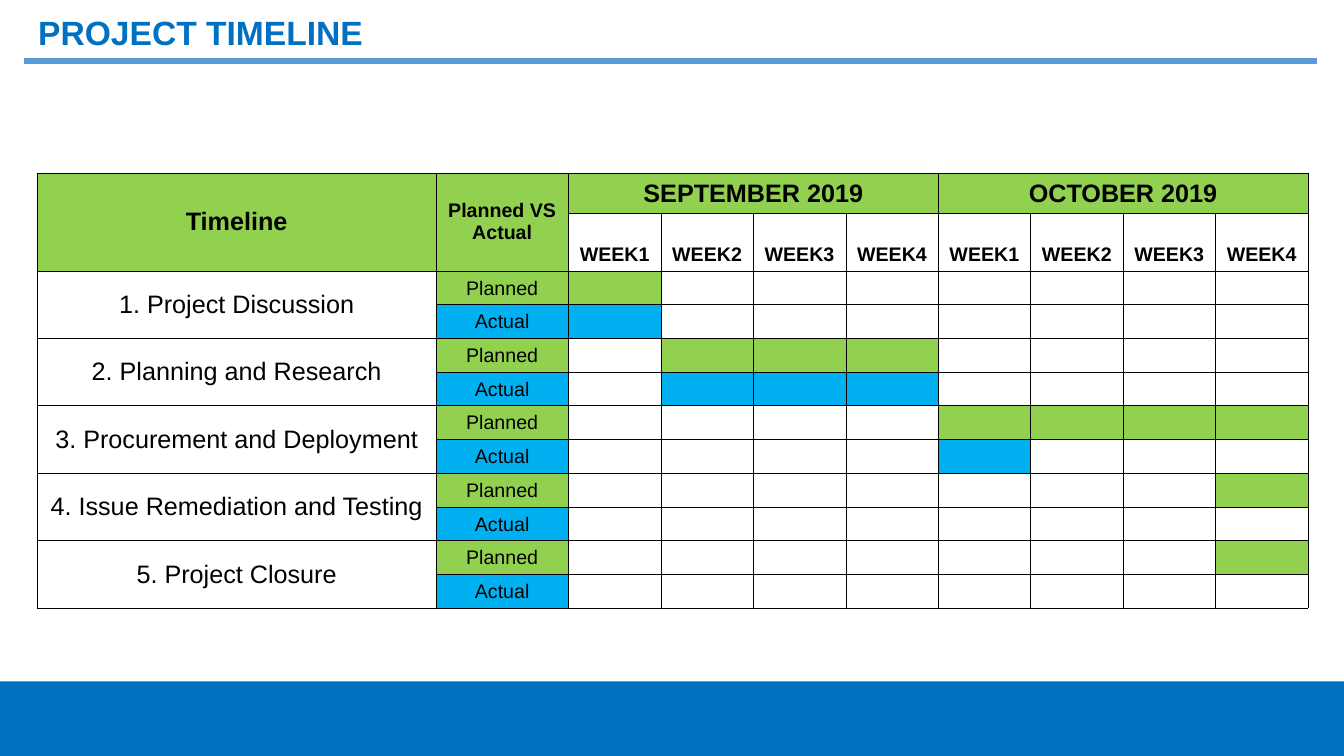
from lxml.etree import SubElement
from pptx import Presentation
from pptx.dml.color import RGBColor
from pptx.enum.shapes import MSO_CONNECTOR, MSO_SHAPE
from pptx.enum.text import MSO_ANCHOR, MSO_AUTO_SIZE, PP_ALIGN
from pptx.oxml import parse_xml
from pptx.oxml.ns import nsdecls, qn
from pptx.util import Cm, Pt

BLUE = RGBColor(0x00, 0x70, 0xC0)
RULE_BLUE = RGBColor(0x5B, 0x9B, 0xD5)
GREEN = RGBColor(0x92, 0xD0, 0x50)
SKY = RGBColor(0x00, 0xB0, 0xF0)
BLACK = RGBColor(0x00, 0x00, 0x00)

MONTHS = ["SEPTEMBER 2019", "OCTOBER 2019"]
WEEKS_PER_MONTH = 4
WEEK_COUNT = len(MONTHS) * WEEKS_PER_MONTH
FIRST_WEEK_COLUMN = 2
HEADER_ROWS = 2
# Task name, planned weeks, actual weeks (counted from 0)
TASKS = [
    ("1. Project Discussion", [0], [0]),
    ("2. Planning and Research", [1, 2, 3], [1, 2, 3]),
    ("3. Procurement and Deployment", [4, 5, 6, 7], [4]),
    ("4. Issue Remediation and Testing", [7], []),
    ("5. Project Closure", [7], []),
]


def fill_cell(cell, color):
    cell.fill.solid()
    cell.fill.fore_color.rgb = color


def write_cell(cell, text, size, bold=False, anchor=MSO_ANCHOR.BOTTOM):
    cell.vertical_anchor = anchor
    for side in ("left", "right", "top", "bottom"):
        setattr(cell, f"margin_{side}", Cm(0.13))
    paragraph = cell.text_frame.paragraphs[0]
    paragraph.alignment = PP_ALIGN.CENTER
    run = paragraph.add_run()
    run.text = text
    for name, value in {"name": "Arial", "size": Pt(size), "bold": bold}.items():
        setattr(run.font, name, value)
    run.font.color.rgb = BLACK


presentation = Presentation()
presentation.slide_width = Cm(33.88)
presentation.slide_height = Cm(19.05)
slide = presentation.slides.add_slide(presentation.slide_layouts[5])

# Footer band and title rule
footer = slide.shapes.add_shape(MSO_SHAPE.RECTANGLE, 0, Cm(17.17), Cm(33.88), Cm(1.88))
footer.shadow.inherit = False
footer.fill.solid()
footer.fill.fore_color.rgb = BLUE
footer.line.fill.background()

rule = slide.shapes.add_connector(
    MSO_CONNECTOR.STRAIGHT, Cm(0.6), Cm(1.53), Cm(33.2), Cm(1.53)
)
rule.line.color.rgb = RULE_BLUE
rule.line.width = Pt(4)
SubElement(rule.element.spPr, qn("a:effectLst"))

# Title
title = slide.shapes.title
title.left, title.top, title.width, title.height = Cm(0.71), Cm(0), Cm(32), Cm(1.45)
title.text_frame.auto_size = MSO_AUTO_SIZE.NONE
title.text_frame.vertical_anchor = MSO_ANCHOR.BOTTOM
title.text_frame.text = "PROJECT TIMELINE"
title_paragraph = title.text_frame.paragraphs[0]
title_paragraph.alignment = PP_ALIGN.LEFT
title_paragraph.line_spacing = 0.85
title_font = title_paragraph.runs[0].font
for name, value in {"name": "Arial", "size": Pt(24), "bold": True}.items():
    setattr(title_font, name, value)
title_font.color.rgb = BLUE

# Timeline table
column_widths = [10.05, 3.34] + [2.33] * WEEK_COUNT
row_heights = [1.0, 1.45] + [0.85] * (2 * len(TASKS))
table = slide.shapes.add_table(
    len(row_heights), len(column_widths),
    Cm(0.94), Cm(4.37), Cm(sum(column_widths)), Cm(sum(row_heights)),
).table
table.first_row = False
table.horz_banding = False
for column, width in zip(table.columns, column_widths):
    column.width = Cm(width)
for row, height in zip(table.rows, row_heights):
    row.height = Cm(height)

for cell in table.iter_cells():
    cell.margin_top = cell.margin_bottom = 0
    properties = cell._tc.get_or_add_tcPr()
    for edge in ("lnL", "lnR", "lnT", "lnB"):
        properties.append(parse_xml(
            f'<a:{edge} {nsdecls("a")} w="3175"><a:solidFill>'
            f'<a:srgbClr val="{BLACK}"/></a:solidFill></a:{edge}>'
        ))
    cell.fill.background()

# Header
for column, (text, size) in enumerate([("Timeline", 18), ("Planned VS Actual", 14)]):
    heading = table.cell(0, column)
    heading.merge(table.cell(1, column))
    write_cell(heading, text, size, bold=True, anchor=MSO_ANCHOR.MIDDLE)
    fill_cell(heading, GREEN)

for month_index, month in enumerate(MONTHS):
    first = FIRST_WEEK_COLUMN + month_index * WEEKS_PER_MONTH
    heading = table.cell(0, first)
    heading.merge(table.cell(0, first + WEEKS_PER_MONTH - 1))
    write_cell(heading, month, 18, bold=True)
    fill_cell(heading, GREEN)
    for week in range(WEEKS_PER_MONTH):
        write_cell(table.cell(1, first + week), f"WEEK{week + 1}", 14, bold=True)

# Tasks
for task_index, (task, planned, actual) in enumerate(TASKS):
    top = HEADER_ROWS + 2 * task_index
    task_cell = table.cell(top, 0)
    task_cell.merge(table.cell(top + 1, 0))
    write_cell(task_cell, task, 18, anchor=MSO_ANCHOR.MIDDLE)
    tracks = [("Planned", planned, GREEN), ("Actual", actual, SKY)]
    for row, (label, weeks, color) in enumerate(tracks, start=top):
        write_cell(table.cell(row, 1), label, 14)
        fill_cell(table.cell(row, 1), color)
        for week in weeks:
            fill_cell(table.cell(row, FIRST_WEEK_COLUMN + week), color)

presentation.save("out.pptx")
